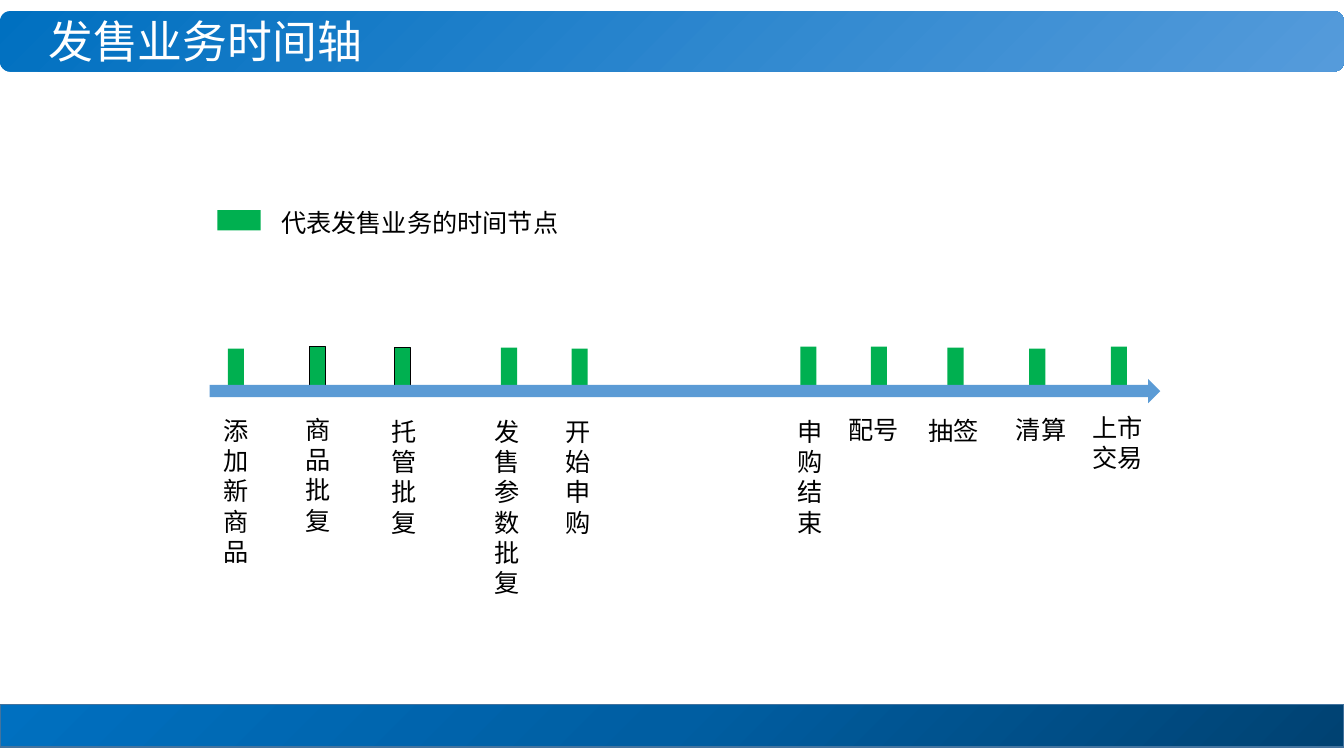
from lxml import etree
from pptx import Presentation
from pptx import util as u
from pptx.dml.color import RGBColor
from pptx.enum import shapes, text
from pptx.oxml import ns

WHITE = RGBColor(0xFF, 0xFF, 0xFF)
BLACK = RGBColor(0x00, 0x00, 0x00)
GREEN = RGBColor(0x00, 0xB0, 0x50)
ARROW_BLUE = RGBColor(0x5B, 0x9B, 0xD5)
BLUE = RGBColor(0x00, 0x70, 0xC0)
LIGHT_BLUE = RGBColor(0x55, 0x9B, 0xDB)
MID_BLUE = RGBColor(0x00, 0x5E, 0xA2)
DARK_BLUE = RGBColor(0x00, 0x42, 0x72)
EDGE_BLUE = RGBColor(0x43, 0x73, 0x9E)

presentation = Presentation()
presentation.slide_width = u.Inches(13.33)
presentation.slide_height = u.Inches(7.5)
slide = presentation.slides.add_slide(presentation.slide_layouts[6])
COLUMN = presentation.slide_width / 100
ROW = presentation.slide_height / 100
RECTANGLE = shapes.MSO_SHAPE.RECTANGLE


def add_block(kind, left, top, width, height, color=None):
    shape = slide.shapes.add_shape(kind, int(left * COLUMN), int(top * ROW),
                                   int(width * COLUMN), int(height * ROW))
    shape.shadow.inherit = False
    shape.line.fill.background()
    if color is None:
        shape.fill.gradient()
    else:
        shape.fill.solid()
        shape.fill.fore_color.rgb = color
    return shape


def add_label(lines, left, top, width, height, size=18, color=BLACK, wrap=False):
    box = slide.shapes.add_textbox(int(left * COLUMN), int(top * ROW),
                                   int(width * COLUMN), int(height * ROW))
    frame = box.text_frame
    frame.word_wrap = wrap
    for index, line in enumerate(lines):
        paragraph = frame.add_paragraph() if index else frame.paragraphs[0]
        run = paragraph.add_run()
        run.text = line
        run.font.name = "Calibri"
        run.font.size = u.Pt(size)
        run.font.color.rgb = color
    return frame


title_bar = add_block(shapes.MSO_SHAPE.ROUNDED_RECTANGLE, 0, 1.47, 100, 8)
title_bar.fill.gradient_angle = 315
for stop, color in zip(title_bar.fill.gradient_stops, (BLUE, LIGHT_BLUE)):
    stop.color.rgb = color

title = add_label(["发售业务时间轴"], 2.55, 0.8, 70.73, 10.13, 32, WHITE, True)
title.vertical_anchor = text.MSO_ANCHOR.MIDDLE
title.margin_left = title.margin_right = u.Inches(0.14)
title.margin_top = title.margin_bottom = 0
title.paragraphs[0].line_spacing = 0.9

footer = add_block(RECTANGLE, 0, 93.2, 100, 5.6)
footer.line.color.rgb = EDGE_BLUE
footer.line.width = u.Pt(1)
gradient = footer.element.spPr.find(ns.qn("a:gradFill"))
for child in list(gradient):
    gradient.remove(child)
stops = etree.SubElement(gradient, ns.qn("a:gsLst"))
for share, color in ((0, DARK_BLUE), (50, MID_BLUE), (100, BLUE)):
    stop = etree.SubElement(stops, ns.qn("a:gs"), pos=str(share * 1000))
    etree.SubElement(stop, ns.qn("a:srgbClr"), val=str(color))
circle = etree.SubElement(gradient, ns.qn("a:path"), path="circle")
etree.SubElement(circle, ns.qn("a:fillToRect"), l="100000", t="100000")

MILESTONES = [
    ("添加新商品", 16.95, 46.13, 15.9, 54.27),
    ("商品批复", 23.03, 45.87, 21.98, 54.13),
    ("托管批复", 29.33, 46, 28.43, 54.4),
    ("发售参数批复", 37.28, 46, 36.08, 54.4),
    ("开始申购", 42.53, 46.13, 41.33, 54.4),
    ("申购结束", 59.55, 45.87, 58.58, 54.4),
    (["配号"], 64.8, 45.87, 62.4, 54.13),
    (["抽签"], 70.5, 46, 68.33, 54.27),
    (["清算"], 76.58, 46.13, 74.85, 54.13),
    (["上市", "交易"], 82.65, 45.87, 80.55, 53.87),
]
OUTLINED = ("商品批复", "托管批复")

for lines, marker_left, marker_top, label_left, label_top in MILESTONES:
    marker = add_block(RECTANGLE, marker_left, marker_top, 1.2, 6.27, GREEN)
    if lines in OUTLINED:
        marker.line.color.rgb = BLACK
        marker.line.width = u.Pt(0.75)
    label_width = 1.43 + 1.95 * len(lines[0])
    add_label(lines, label_left, label_top, label_width, 1.33 + 4.04 * len(lines))

add_block(shapes.MSO_SHAPE.RIGHT_ARROW, 15.6, 50.13, 70.73, 3.2, ARROW_BLUE)

legend_key = add_block(RECTANGLE, 17.03, 26.27, 1.5, 5.73, GREEN)
legend_key.rotation = 90
add_label(["代表发售业务的时间节点"], 20.18, 26.8, 26.7, 5.33, wrap=True)

presentation.save("out.pptx")
